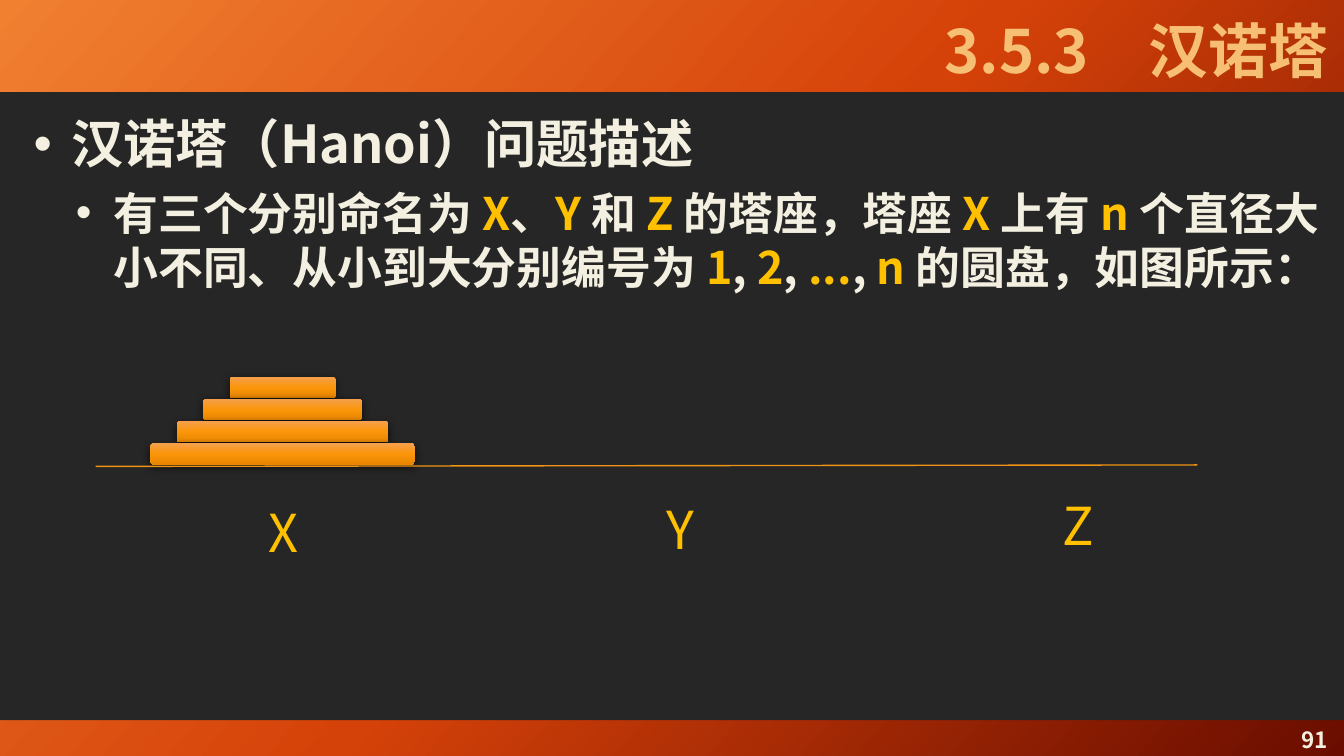
from copy import deepcopy
from dataclasses import dataclass

from lxml import etree
from pptx import Presentation
from pptx.dml.color import RGBColor
from pptx.dml.fill import FillFormat
from pptx.enum.shapes import MSO_CONNECTOR, MSO_SHAPE
from pptx.enum.text import MSO_ANCHOR, MSO_AUTO_SIZE, PP_ALIGN
from pptx.oxml import parse_xml
from pptx.oxml.ns import nsdecls, qn
from pptx.shapes.base import BaseShape
from pptx.slide import Slide
from pptx.text.text import TextFrame, _Paragraph, _Run
from pptx.util import Pt

RECTANGLE = MSO_SHAPE.RECTANGLE
ROUNDED = MSO_SHAPE.ROUNDED_RECTANGLE
STRAIGHT = MSO_CONNECTOR.STRAIGHT
TOP, MIDDLE = MSO_ANCHOR.TOP, MSO_ANCHOR.MIDDLE
CENTER, RIGHT, LEFT = PP_ALIGN.CENTER, PP_ALIGN.RIGHT, PP_ALIGN.LEFT
NO_AUTOFIT = MSO_AUTO_SIZE.NONE

FONT = "Noto Sans CJK JP"
PANEL = RGBColor(0x26, 0x26, 0x26)
CREAM = RGBColor(0xF3, 0xF0, 0xE1)
PEACH = RGBColor(0xF6, 0xBF, 0x73)
GOLD = RGBColor(0xFF, 0xC0, 0x00)
ORANGE = RGBColor(0xF0, 0x94, 0x15)
BACKDROP = (RGBColor(0xF1, 0x80, 0x31), RGBColor(0xD5, 0x42, 0x09), RGBColor(0x6A, 0x0D, 0x00))
DISC_FILL = (RGBColor(0xF4, 0xA0, 0x50), RGBColor(0xFB, 0x96, 0x0A), RGBColor(0xE8, 0x86, 0x00))

DISC_COUNT = 4
DISC_CENTER = 151.4
DISC_TOP = 201.7
DISC_PITCH = 11.85
DISC_HEIGHT = 11.6
DISC_WIDTH = 56.8
DISC_GROWTH = 28.3
INDENT = 20.2


@dataclass(frozen=True)
class Box:
    left: float
    top: float
    width: float
    height: float


@dataclass(frozen=True)
class Label:
    text: str
    box: Box
    size: float
    color: RGBColor
    align: PP_ALIGN
    bold: bool = False
    anchor: MSO_ANCHOR = TOP
    inset: tuple[float, float] = (7.2, 3.6)


@dataclass(frozen=True)
class Bullet:
    segments: tuple[str, ...]
    level: int
    margin: float
    size: float


TITLE = Label("3.5.3　汉诺塔", Box(5.8, 0, 708.7, 53.6), 32, PEACH, RIGHT, True, MIDDLE, (2.9, 2.9))
PAGE_NUMBER = Label("91", Box(645.8, 388.1, 68.4, 15.8), 12, CREAM, RIGHT, True, MIDDLE, (2.9, 0))
TOWERS = tuple(
    Label(name, Box(126.4 + 213 * index, 264.4 - 1.8 * index, 50.4, 41), 28, GOLD, CENTER)
    for index, name in enumerate("XYZ")
)
BODY_BOX = Box(15.1, 56.9, 699.8, 329)
BULLETS = (
    Bullet(("汉诺塔（Hanoi）问题描述",), 0, 20.2, 28),
    Bullet(
        ("有三个分别命名为 ", "X", "、", "Y ", "和 ", "Z ", "的塔座，塔座 ", "X ",
         "上有 ", "n ", "个直径大小不同、从小到大分别编号为 ", "1", ", ", "2",
         ", ", "...", ", ", "n ", "的圆盘，如图所示："),
        1, 42.8, 24,
    ),
)


def place(shape: BaseShape, box: Box) -> None:
    shape.left, shape.top = Pt(box.left), Pt(box.top)
    shape.width, shape.height = Pt(box.width), Pt(box.height)


def apply_gradient(
    fill: FillFormat, root: etree.ElementBase, colors: tuple[RGBColor, ...], angle: float
) -> None:
    fill.gradient()
    stop_list = root.find(".//" + qn("a:gsLst"))
    stop_list.append(deepcopy(stop_list[-1]))
    for index, (stop, color) in enumerate(zip(fill.gradient_stops, colors)):
        stop.color.rgb = color
        stop.position = index / 2
    fill.gradient_angle = 360 - angle


def format_run(run: _Run, size: float, color: RGBColor, bold: bool) -> None:
    run.font.name = FONT
    run.font.size = Pt(size)
    run.font.bold = bold
    run.font.color.rgb = color
    etree.SubElement(run.font._element, qn("a:ea"), typeface=FONT)


def format_frame(frame: TextFrame, anchor: MSO_ANCHOR, inset: tuple[float, float]) -> None:
    frame.word_wrap = True
    frame.auto_size = NO_AUTOFIT
    frame.vertical_anchor = anchor
    frame.margin_left = frame.margin_right = Pt(inset[0])
    frame.margin_top = frame.margin_bottom = Pt(inset[1])


def write_label(shape: BaseShape, label: Label) -> None:
    place(shape, label.box)
    format_frame(shape.text_frame, label.anchor, label.inset)
    shape.text_frame.text = label.text
    paragraph = shape.text_frame.paragraphs[0]
    paragraph.alignment = label.align
    format_run(paragraph.runs[0], label.size, label.color, label.bold)


def add_label(slide: Slide, label: Label) -> None:
    write_label(slide.shapes.add_textbox(0, 0, 0, 0), label)


def write_bullet(paragraph: _Paragraph, bullet: Bullet) -> None:
    paragraph.level = bullet.level
    paragraph.alignment = LEFT
    paragraph.space_before = Pt(6)
    properties = paragraph._p.get_or_add_pPr()
    properties.set("marL", str(Pt(bullet.margin)))
    properties.set("indent", str(-Pt(INDENT)))
    etree.SubElement(properties, qn("a:buFont"), typeface="Arial")
    etree.SubElement(properties, qn("a:buChar"), char="•")
    for index, text in enumerate(bullet.segments):
        run = paragraph.add_run()
        run.text = text
        format_run(run, bullet.size, GOLD if index % 2 else CREAM, True)


def add_disc(slide: Slide, index: int) -> None:
    width = DISC_WIDTH + DISC_GROWTH * index
    disc = slide.shapes.add_shape(ROUNDED, 0, 0, 0, 0)
    place(disc, Box(DISC_CENTER - width / 2, DISC_TOP + DISC_PITCH * index, width, DISC_HEIGHT))
    apply_gradient(disc.fill, disc.element, DISC_FILL, 90)
    disc.line.fill.background()
    disc.element.spPr.append(parse_xml(
        f'<a:effectLst {nsdecls("a")}>'
        f'<a:outerShdw blurRad="{Pt(4.5)}" dist="{Pt(1.5)}" dir="5400000" rotWithShape="0">'
        '<a:srgbClr val="000000"><a:alpha val="63000"/></a:srgbClr>'
        '</a:outerShdw></a:effectLst>'
    ))


def add_ground(slide: Slide) -> None:
    ground = slide.shapes.add_connector(STRAIGHT, Pt(51.3), Pt(249.9), Pt(641.5), Pt(249.1))
    ground.line.color.rgb = ORANGE
    ground.line.width = Pt(0.75)
    etree.SubElement(ground.element.spPr, qn("a:effectLst"))


def main() -> None:
    presentation = Presentation()
    presentation.slide_width, presentation.slide_height = Pt(720), Pt(405)
    slide = presentation.slides.add_slide(presentation.slide_layouts[1])
    apply_gradient(slide.background.fill, slide.element, BACKDROP, 42)

    title, body = slide.shapes.title, slide.placeholders[1]
    panel = slide.shapes.add_shape(RECTANGLE, 0, Pt(49.4), Pt(720), Pt(336.4))
    panel.fill.solid()
    panel.fill.fore_color.rgb = PANEL
    panel.line.fill.background()
    panel.shadow.inherit = False
    title.element.addprevious(panel.element)

    write_label(title, TITLE)
    place(body, BODY_BOX)
    format_frame(body.text_frame, TOP, (2.9, 2.9))
    for index, bullet in enumerate(BULLETS):
        frame = body.text_frame
        write_bullet(frame.add_paragraph() if index else frame.paragraphs[0], bullet)

    for index in range(DISC_COUNT):
        add_disc(slide, index)
    for label in (PAGE_NUMBER, *TOWERS):
        add_label(slide, label)
    add_ground(slide)
    presentation.save("out.pptx")


if __name__ == "__main__":
    main()
